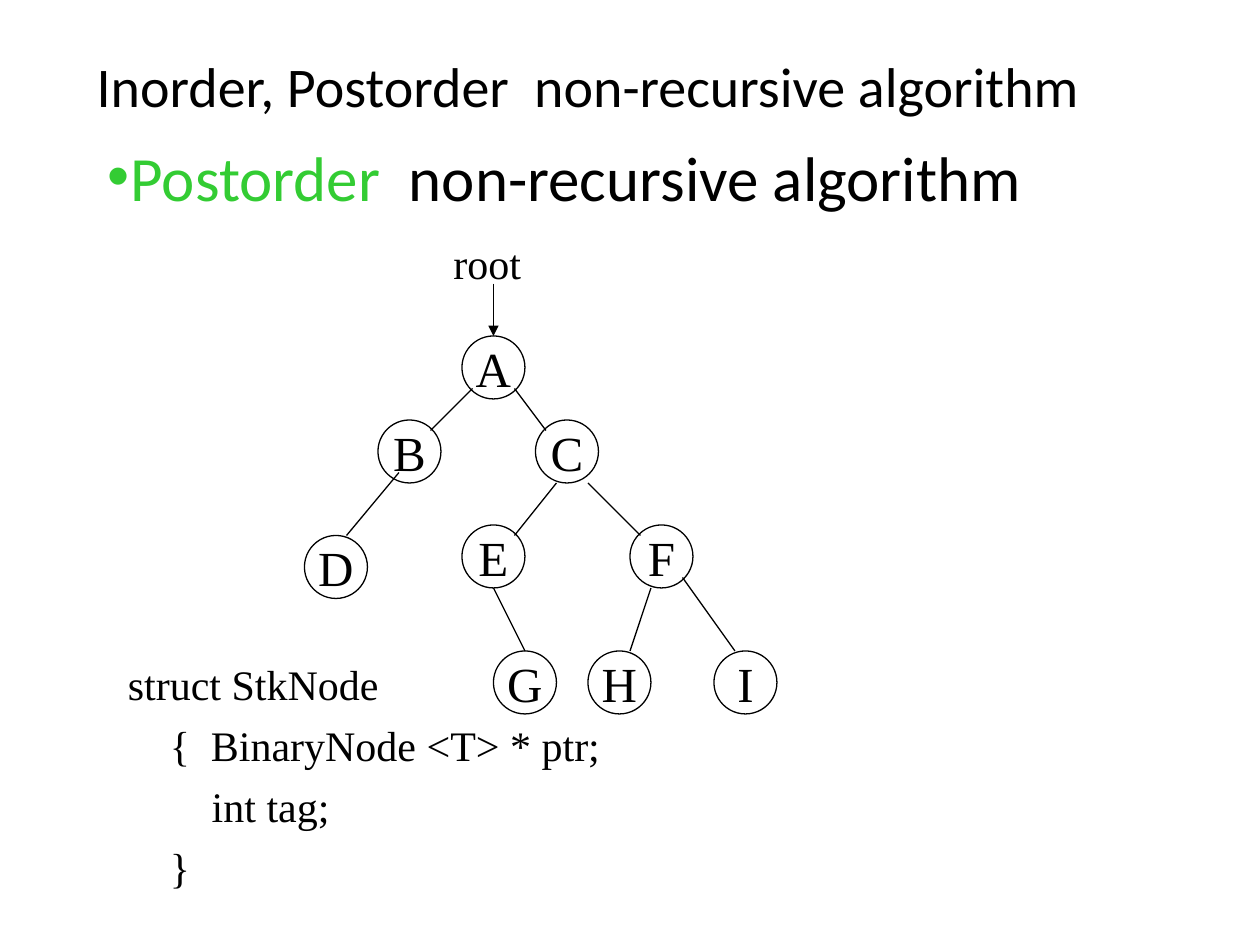
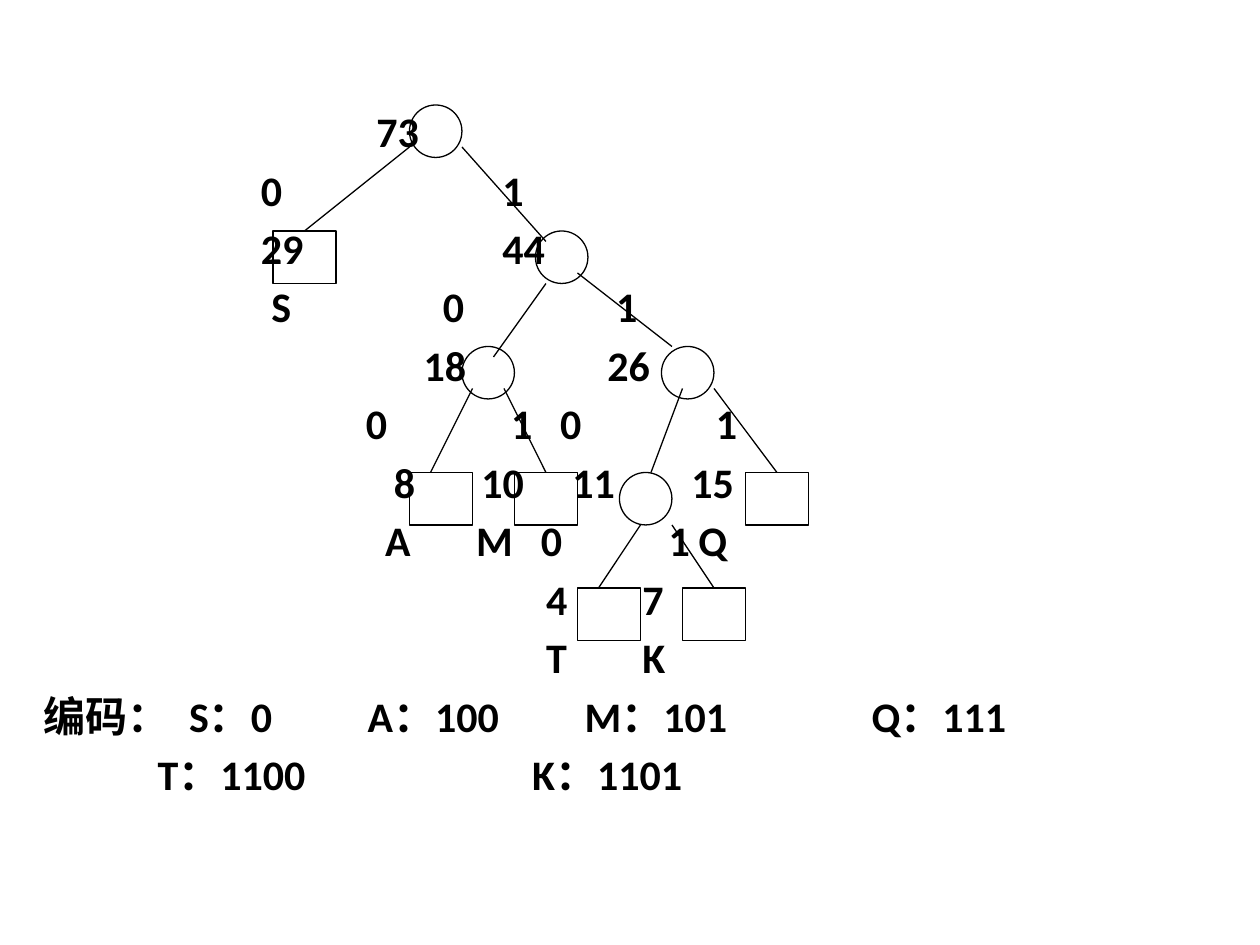
"""Build two slides on binary trees: postorder traversal and a code tree."""
import dataclasses

import lxml.etree
import pptx
import pptx.dml.color
import pptx.enum.shapes
import pptx.enum.text
import pptx.oxml.ns
import pptx.util

Pt = pptx.util.Pt
SHAPE = pptx.enum.shapes.MSO_SHAPE
ALIGN = pptx.enum.text.PP_ALIGN
ANCHOR = pptx.enum.text.MSO_ANCHOR
qn = pptx.oxml.ns.qn


@dataclasses.dataclass(frozen=True)
class Theme:
    """Colours, fonts, type sizes and the drawing grid."""
    ink: str = "000000"
    green: str = "33CC33"
    sans: str = "Calibri"
    serif: str = "Times New Roman"
    title: int = 32
    lead: int = 36
    node: int = 28
    text: int = 24
    line: float = 0.75
    grid: int = 6


THEME = Theme()

LETTERS = [("A", 15, 10), ("B", 7, 18), ("C", 22, 18), ("D", 0, 29), ("E", 15, 28),
           ("F", 31, 28), ("G", 18, 40), ("H", 27, 40), ("I", 39, 40)]
LETTER_EDGES = [(16, 15, 12, 19), (9, 23, 4, 29), (20, 15, 23, 19), (24, 24, 20, 29),
                (27, 24, 32, 29), (18, 34, 21, 40), (33, 34, 31, 40), (36, 33, 41, 40)]
ROOT_ARROW = (18, 5, 18, 10)
STRUCT = ["struct StkNode", "    {  BinaryNode <T> * ptr;", "        int tag;", "    }"]

FORKS = [(13, 0), (25, 12), (18, 23), (37, 23), (33, 35)]
LEAVES = [(0, 12), (13, 35), (23, 35), (45, 35), (29, 46), (39, 46)]
CODE_EDGES = [(13, 4, 3, 12), (18, 4, 26, 13), (26, 17, 21, 24), (29, 16, 38, 23),
              (19, 27, 15, 35), (22, 27, 26, 35), (39, 27, 36, 35), (42, 27, 48, 35),
              (35, 40, 31, 46), (38, 40, 42, 46)]
CODE_ROWS = [
    [(190, "73")],
    [(124, "0"), (262, "1")],
    [(124, "29"), (262, "44")],
    [(130, "S"), (228, "0"), (327, "1")],
    [(217, "18"), (322, "26")],
    [(184, "0"), (267, "1"), (295, "0"), (384, "1")],
    [(200, "8"), (250, "10"), (302, "11"), (370, "15")],
    [(195, "A"), (247, "M"), (284, "0"), (357, "1"), (374, "Q")],
    [(287, "4"), (342, "7")],
    [(287, "T"), (342, "K")],
    [(0, "编码："), (83, "S：0"), (185, "A：100"), (309, "M：101"), (473, "Q：111")],
    [(65, "T：1100"), (279, "K：1101")],
]


def tint(hue):
    """Turn a hex string into a colour."""
    return pptx.dml.color.RGBColor.from_string(hue)


def write(frame, lines, size=THEME.text, font=THEME.sans, bold=False, align=ALIGN.LEFT,
          space=1.0, gap=0, wrap=True, anchor=ANCHOR.TOP, bullet=None, stops=()):
    """Fill a frame with lines, each a string or a list of (text, colour) runs."""
    frame.word_wrap = wrap
    frame.auto_size = pptx.enum.text.MSO_AUTO_SIZE.NONE
    frame.vertical_anchor = anchor
    for i, line in enumerate(lines):
        para = frame.add_paragraph() if i else frame.paragraphs[0]
        mark(para, bullet, stops[i] if stops else ())
        para.alignment = align
        para.line_spacing = space
        para.space_before = Pt(gap if i else 0)
        for text, hue in [(line, THEME.ink)] if isinstance(line, str) else line:
            run = para.add_run()
            run.text = text
            run.font.size = Pt(size)
            run.font.name = font
            run.font.bold = bold
            run.font.color.rgb = tint(hue)


def mark(para, bullet, stops):
    """Set the bullet with its indent, or the tab stops, of a paragraph."""
    props = para._p.get_or_add_pPr()
    if bullet:
        props.set("marL", str(Pt(13.5)))
        props.set("indent", str(-Pt(13.5)))
        hue = lxml.etree.SubElement(props, qn("a:buClr"))
        lxml.etree.SubElement(hue, qn("a:srgbClr"), val=bullet)
        lxml.etree.SubElement(props, qn("a:buChar"), char="•")
    if stops:
        tabs = lxml.etree.SubElement(props, qn("a:tabLst"))
        for stop in stops:
            lxml.etree.SubElement(tabs, qn("a:tab"), pos=str(Pt(stop)), algn="l")


def place(shape, box):
    """Move a shape to a box given in points."""
    shape.left, shape.top, shape.width, shape.height = map(Pt, box)
    return shape


def label(slide, box, lines, **form):
    """Add a text box."""
    write(slide.shapes.add_textbox(*map(Pt, box)).text_frame, lines, **form)


def node(slide, box, kind, x, y, wide, high):
    """Add an outlined tree node at a grid spot in the box."""
    unit = THEME.grid
    spot = box[0] + x * unit, box[1] + y * unit, wide * unit, high * unit
    shape = slide.shapes.add_shape(kind, *map(Pt, spot))
    shape.shadow.inherit = False
    shape.fill.background()
    shape.line.color.rgb = tint(THEME.ink)
    shape.line.width = Pt(THEME.line)
    return shape


def edge(slide, box, ends, arrow=False):
    """Join two grid spots in the box with a line."""
    spots = [Pt(box[i % 2] + end * THEME.grid) for i, end in enumerate(ends)]
    line = slide.shapes.add_connector(pptx.enum.shapes.MSO_CONNECTOR.STRAIGHT, *spots)
    line.line.color.rgb = tint(THEME.ink)
    line.line.width = Pt(THEME.line)
    if arrow:
        lxml.etree.SubElement(line.line._get_or_add_ln(), qn("a:tailEnd"), type="triangle")
    lxml.etree.SubElement(line._element.spPr, qn("a:effectLst"))


def letter_tree(slide, box):
    """Draw the lettered tree with its root arrow."""
    for text, x, y in LETTERS:
        write(node(slide, box, SHAPE.OVAL, x, y, 6, 6).text_frame, [text],
              size=THEME.node, font=THEME.serif, align=ALIGN.CENTER,
              wrap=False, anchor=ANCHOR.MIDDLE)
    for ends in LETTER_EDGES:
        edge(slide, box, ends)
    label(slide, (box[0] + 78, box[1], 53, 36), ["root"], font=THEME.serif, wrap=False)
    edge(slide, box, ROOT_ARROW, arrow=True)


def code_tree(slide, box):
    """Draw the forks, leaves and edges of the code tree."""
    for x, y in FORKS:
        node(slide, box, SHAPE.OVAL, x, y, 5, 5)
    for x, y in LEAVES:
        node(slide, box, SHAPE.RECTANGLE, x, y, 6, 5)
    for ends in CODE_EDGES:
        edge(slide, box, ends)


def code_text(slide, box):
    """Write the weights, bits and codes at their tab stops."""
    lines = ["".join("\t" * (x > 0) + text for x, text in row) for row in CODE_ROWS]
    stops = [[x for x, text in row if x] for row in CODE_ROWS]
    label(slide, box, lines, bold=True, space=0.9, gap=7.5, stops=stops)


def order_slide(deck):
    """Build the postorder slide."""
    slide = deck.slides.add_slide(deck.slide_layouts[1])
    title, body = slide.placeholders
    write(place(title, (48, 24, 612, 54)).text_frame,
          ["Inorder, Postorder  non-recursive algorithm"],
          size=THEME.title, space=0.9, anchor=ANCHOR.MIDDLE)
    write(place(body, (54, 84, 612, 48)).text_frame,
          [[("Postorder", THEME.green), ("  non-recursive algorithm", THEME.ink)]],
          size=THEME.lead, space=0.8, bullet=THEME.green)
    letter_tree(slide, (174, 132, 270, 276))
    label(slide, (66, 373, 324, 140), STRUCT, font=THEME.serif, gap=6)


def code_slide(deck):
    """Build the code tree slide."""
    slide = deck.slides.add_slide(deck.slide_layouts[6])
    code_text(slide, (18, 60, 684, 456))
    code_tree(slide, (156, 60, 306, 306))


def main():
    """Build and save the deck."""
    deck = pptx.Presentation()
    deck.slide_width, deck.slide_height = Pt(720), Pt(540)
    order_slide(deck)
    code_slide(deck)
    deck.save("out.pptx")


if __name__ == "__main__":
    main()
